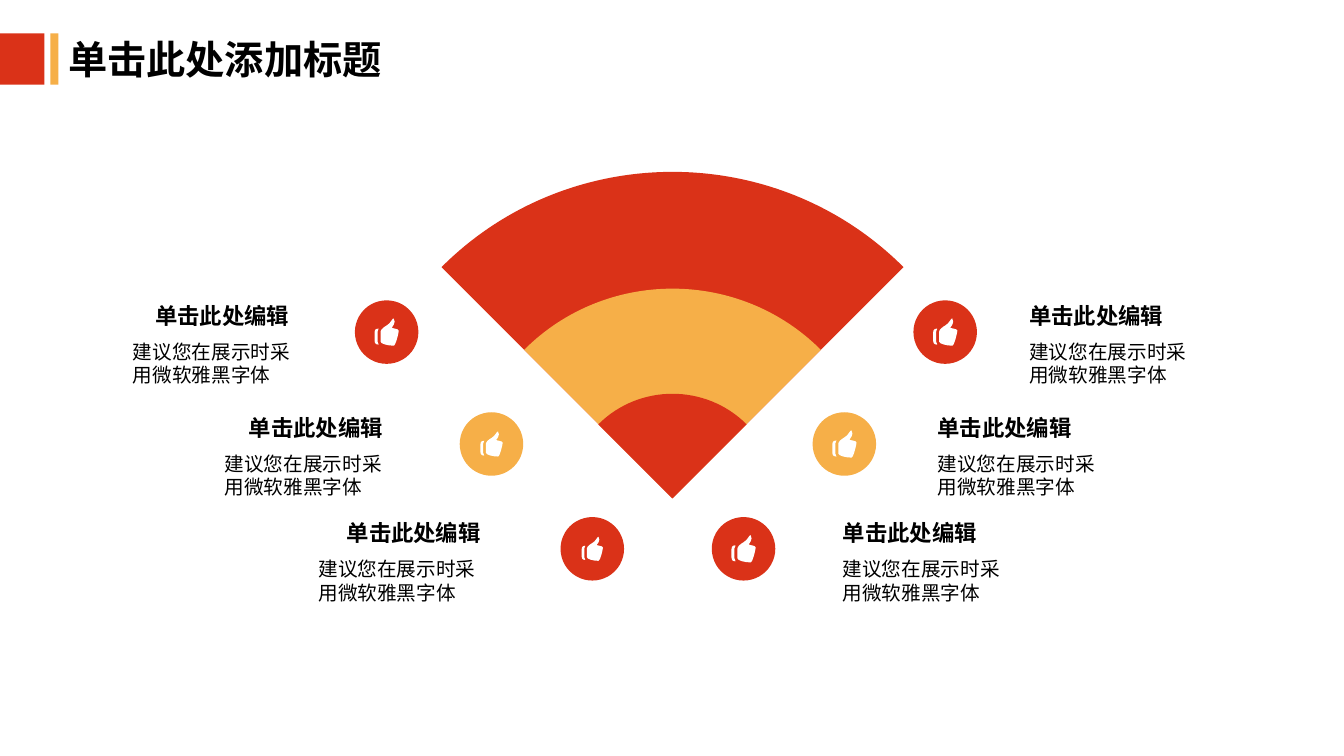
"""Build a slide with a three-band fan and six labelled thumbs-up points."""
import lxml.etree
import pptx
import pptx.dml.color
import pptx.enum.shapes
import pptx.enum.text
import pptx.oxml.ns
import pptx.util

PX = 9144
FONT = "Noto Sans CJK SC"
COLORS = {"red": "DA3218", "gold": "F6AF48", "white": "FFFFFF", "black": "000000"}
RECT = pptx.enum.shapes.MSO_SHAPE.RECTANGLE
OVAL = pptx.enum.shapes.MSO_SHAPE.OVAL
qn = pptx.oxml.ns.qn

prs = pptx.Presentation()
prs.slide_width, prs.slide_height = 1333 * PX, 750 * PX
s = prs.slides.add_slide(prs.slide_layouts[6])


def add_figure(kind, x, y, w, h, color, contours=(), unit=1):
    if kind is not None:
        sp = s.shapes.add_shape(kind, x * PX, y * PX, w * PX, h * PX)
    else:
        fb = s.shapes.build_freeform(0, 0)
        for i, contour in enumerate(contours):
            ends = [(px * unit, py * unit) for *_, px, py in contour]
            if i == 0:
                fb = s.shapes.build_freeform(*ends[0])
            else:
                fb.move_to(*ends[0])
            fb.add_line_segments(ends[1:], close=True)
        sp = fb.convert_to_shape(round(x * PX), round(y * PX))
        steps = [step for contour in contours for step in contour[1:]]
        for line, step in zip(list(sp.element.iter(qn("a:lnTo"))), steps):
            if len(step) == 6:
                curve = lxml.etree.Element(qn("a:cubicBezTo"))
                for px, py in zip(step[::2], step[1::2]):
                    pt = lxml.etree.SubElement(curve, qn("a:pt"))
                    pt.set("x", str(round(px * unit)))
                    pt.set("y", str(round(py * unit)))
                line.getparent().replace(line, curve)
    sp.shadow.inherit = False
    sp.fill.solid()
    sp.fill.fore_color.rgb = pptx.dml.color.RGBColor.from_string(COLORS[color])
    sp.line.fill.background()
    return sp


def add_text(x, y, w, h, text, size, bold=False, wrap=True, spacing=None):
    tf = s.shapes.add_textbox(x * PX, y * PX, w * PX, h * PX).text_frame
    tf.word_wrap = wrap
    if spacing is None:
        tf.auto_size = pptx.enum.text.MSO_AUTO_SIZE.SHAPE_TO_FIT_TEXT
    p = tf.paragraphs[0]
    p.text = text
    p.line_spacing = spacing
    p.font.name = FONT
    p.font.size = pptx.util.Pt(size)
    p.font.bold = bold
    p.font.color.rgb = pptx.dml.color.RGBColor.from_string(COLORS["black"])


for x, w, color in [(0, 44, "red"), (50, 8, "gold")]:
    add_figure(RECT, x, 33, w, 51, color)
add_text(58, 30, 333, 57, "单击此处添加标题", 28, bold=True, wrap=False)

QUARTER = [(0, 0), (0.55, 0, 1, 0.45, 1, 1), (0, 1)]
for x, y, radius, color in [(505, 103, 324, "red"), (563, 243, 208, "gold"),
                            (615, 369, 104, "red")]:
    band = add_figure(None, x, y, radius, radius, color, [QUARTER], radius * PX)
    band.rotation = 315

DISC = 63
items = [
    (706, 513, "red", 1, 826, 826, 548, 185),
    (352, 298, "red", 1, 144, 122, 332, 184),
    (556, 513, "red", 0.88, 334, 306, 548, 190),
    (456, 409, "gold", 0.92, 237, 213, 443, 178),
    (806, 409, "gold", 1, 920, 920, 443, 185),
    (906, 298, "red", 1, 1011, 1011, 332, 185),
]
for x, y, color, *_ in items:
    add_figure(OVAL, x, y, DISC, DISC, color)

CUFF = [(4, 10), (3, 10, 0, 10, 0, 14), (0, 22), (0, 26, 3, 26, 4, 26),
        (5, 26, 3, 25, 3, 23), (3, 13), (3, 11, 5, 10, 4, 10)]
HAND = [(17, 9), (17, 9, 22, 4, 19, 0), (18, -1, 16, 5, 12, 7),
        (10, 8, 6, 11, 6, 13), (6, 23), (6, 25, 13, 27, 19, 27),
        (21, 27, 24, 14, 24, 12), (24, 10, 17, 10, 17, 9)]
for x, y, color, scale, *_ in items:
    w, h = 24 * scale, 27 * scale
    add_figure(None, x + (DISC - w) / 2, y + (DISC - h) / 2, w, h, "white",
               [CUFF, HAND], scale * PX)

for x, y, color, scale, head_x, body_x, body_y, body_w in items:
    add_text(body_x, body_y, body_w, 57, "建议您在展示时采用微软雅黑字体", 14)
    add_text(head_x, y, 162, 34, "单击此处编辑", 16, bold=True, spacing=0.9)

prs.save("out.pptx")
